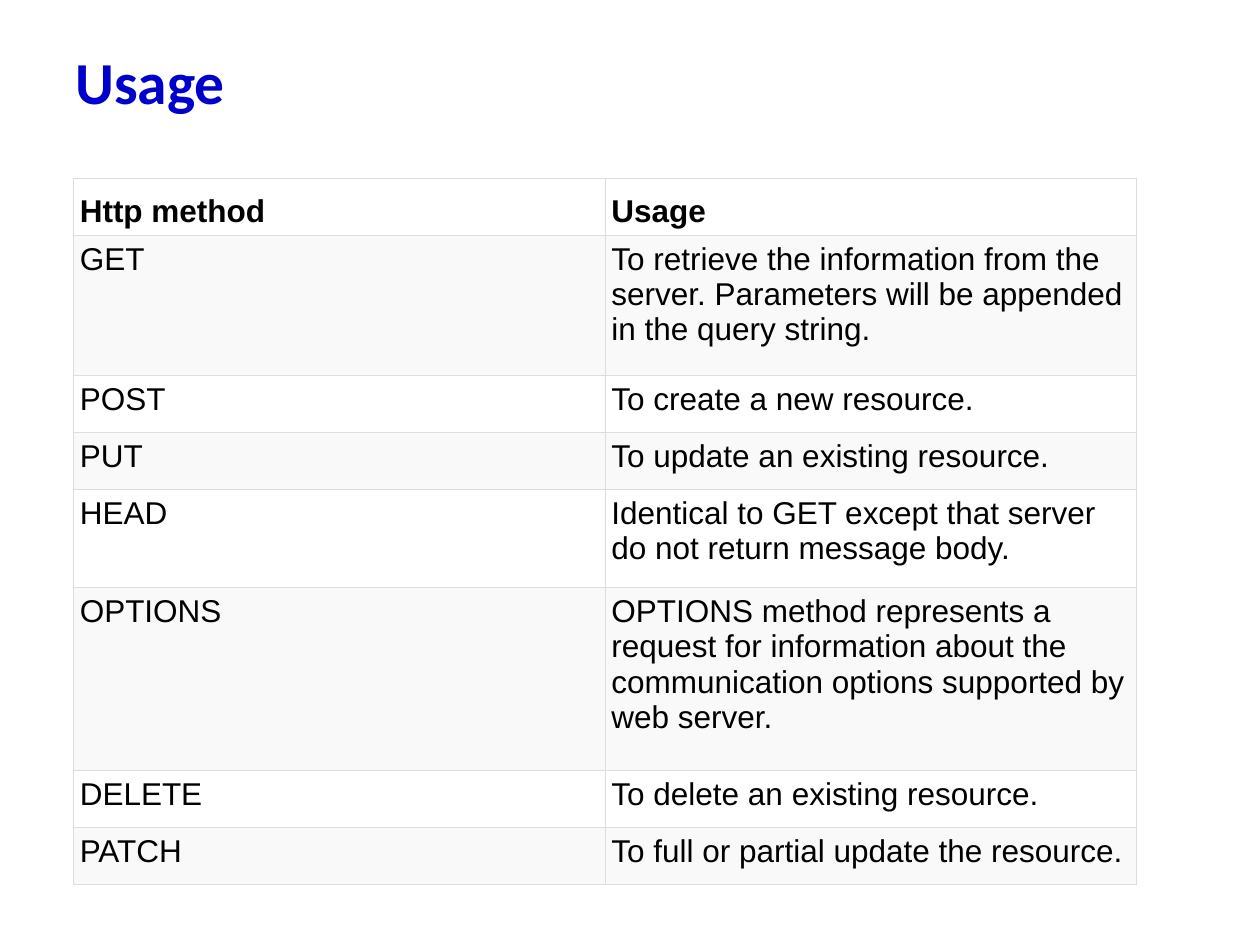
from lxml import etree
from pptx import Presentation
from pptx.dml.color import RGBColor
from pptx.enum.text import MSO_ANCHOR
from pptx.oxml.ns import qn
from pptx.util import Pt

TOP, MIDDLE, BOTTOM = MSO_ANCHOR.TOP, MSO_ANCHOR.MIDDLE, MSO_ANCHOR.BOTTOM

COLORS = {"title": "0000CC", "text": "000000", "border": "DDDDDD", "band": "F9F9F9"}

FORMATS = {
    "title": {"name": "Calibri", "size": Pt(34), "bold": True},
    "head": {"name": "Arial", "size": Pt(18), "bold": True},
    "body": {"name": "Arial", "size": Pt(18), "bold": False},
}

COL_WIDTH = 303.8
CELL_MARGIN = 3.6
METHODS = [
    (32.6, "Http method", "Usage"),
    (80, "GET", "To retrieve the information from the server. "
                "Parameters will be appended in the query string."),
    (32.6, "POST", "To create a new resource."),
    (32.6, "PUT", "To update an existing resource."),
    (56, "HEAD", "Identical to GET except that server do not return message body."),
    (104.6, "OPTIONS", "OPTIONS method represents a request for information about "
                       "the communication options supported by web server."),
    (32.6, "DELETE", "To delete an existing resource."),
    (32.6, "PATCH", "To full or partial update the resource."),
]


class SlideBuilder:
    def __init__(self, s):
        self.s = s

    def add_text(self, tf, text, style, color):
        r = tf.paragraphs[0].add_run()
        r.text = text
        for name, value in FORMATS[style].items():
            setattr(r.font, name, value)
        r.font.color.rgb = RGBColor.from_string(COLORS[color])

    def title(self, text, x, y, w, h):
        sp = self.s.shapes.add_textbox(Pt(x), Pt(y), Pt(w), Pt(h))
        tf = sp.text_frame
        tf.word_wrap = True
        tf.vertical_anchor = MIDDLE
        self.add_text(tf, text, "title", "title")

    def borders(self, cell):
        """Line all four sides; border elements must precede the cell's fill."""
        tc_pr = cell._tc.get_or_add_tcPr()
        for i, side in enumerate(("lnL", "lnR", "lnT", "lnB")):
            ln = etree.Element(qn(f"a:{side}"), w=str(Pt(0.75)))
            fill = etree.SubElement(ln, qn("a:solidFill"))
            etree.SubElement(fill, qn("a:srgbClr"), val=COLORS["border"])
            tc_pr.insert(i, ln)

    def cell(self, cell, text, row):
        is_head = row == 0
        for side in ("left", "right", "top", "bottom"):
            setattr(cell, f"margin_{side}", Pt(CELL_MARGIN))
        cell.vertical_anchor = BOTTOM if is_head else TOP
        if row % 2:
            cell.fill.solid()
            cell.fill.fore_color.rgb = RGBColor.from_string(COLORS["band"])
        else:
            cell.fill.background()
        self.borders(cell)
        self.add_text(cell.text_frame, text, "head" if is_head else "body", "text")

    def table(self, rows, x, y):
        height = sum(row[0] for row in rows)
        table = self.s.shapes.add_table(
            len(rows), 2, Pt(x), Pt(y), Pt(2 * COL_WIDTH), Pt(height)).table
        table.horz_banding = False
        table.first_row = False
        for col in table.columns:
            col.width = Pt(COL_WIDTH)
        for i, (row_height, *texts) in enumerate(rows):
            table.rows[i].height = Pt(row_height)
            for j, text in enumerate(texts):
                self.cell(table.cell(i, j), text, i)


def main():
    prs = Presentation()
    prs.slide_width, prs.slide_height = Pt(720), Pt(540)
    slide = SlideBuilder(prs.slides.add_slide(prs.slide_layouts[6]))
    slide.title("Usage", 36, 10, 594, 72)
    slide.table(METHODS, 42, 102)
    prs.save("out.pptx")


if __name__ == "__main__":
    main()
